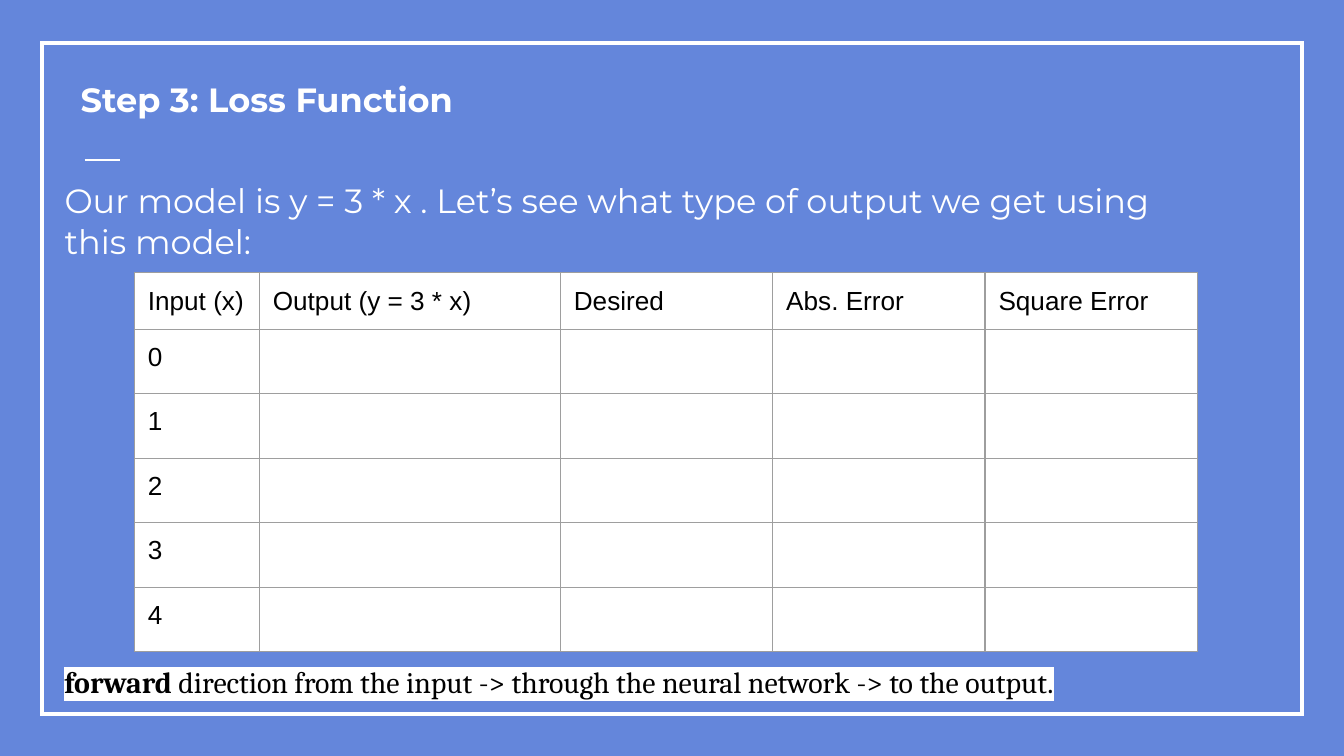
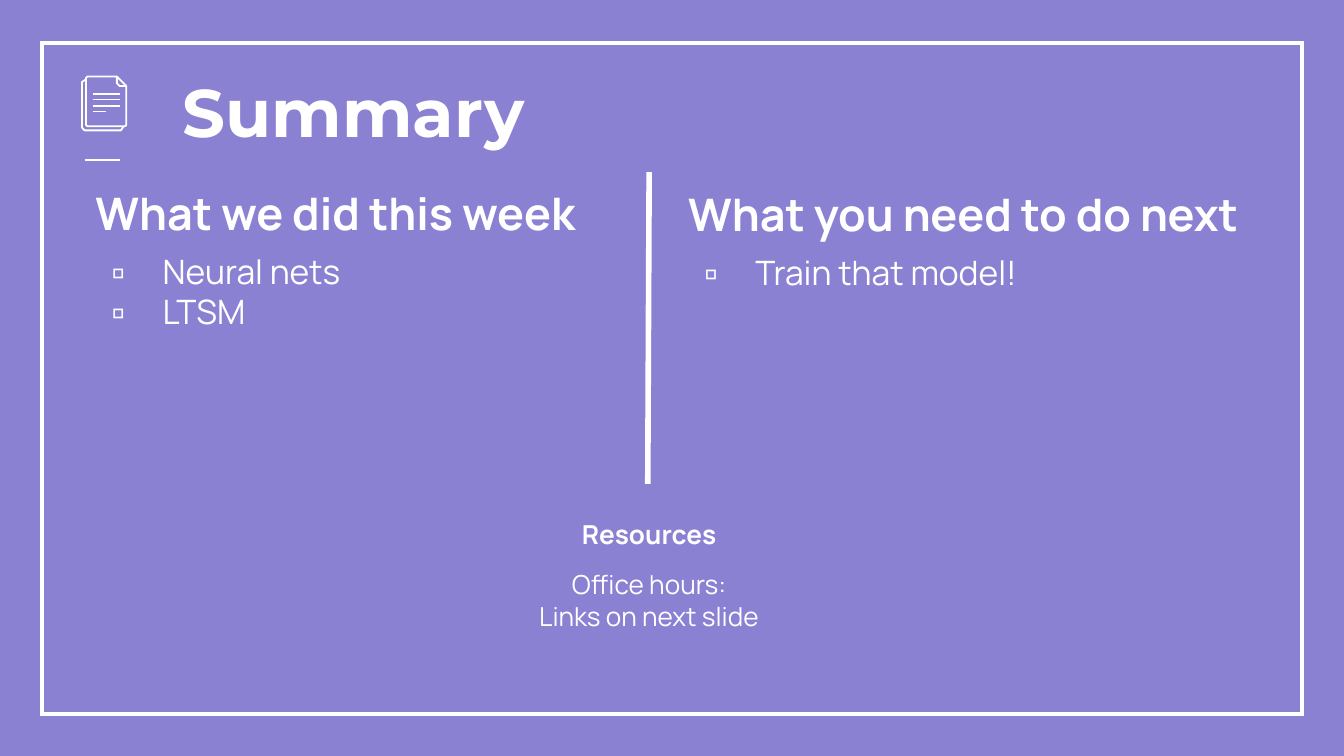
from lxml.etree import SubElement
from pptx import Presentation
from pptx.dml.color import RGBColor
from pptx.enum.shapes import MSO_CONNECTOR, MSO_SHAPE
from pptx.enum.text import MSO_ANCHOR, MSO_AUTO_SIZE, PP_ALIGN
from pptx.oxml.ns import qn
from pptx.util import Inches, Pt

# Content: slide 1
LOSS_TITLE = "Step 3: Loss Function"
MODEL_INTRO = ("Our model is y = 3 * x . Let’s see what type of output "
               "we get using this model:")
ERROR_COLUMNS = [("Input (x)", 0.93), ("Output (y = 3 * x)", 2.24),
                 ("Desired", 1.58), ("Abs. Error", 1.58), ("Square Error", 1.58)]
INPUTS = ["0", "1", "2", "3", "4"]
FORWARD_NOTE = [("forward", True),
                (" direction from the input -> through the neural network -> to the output.", False)]

# Content: slide 2
SUMMARY_TITLE = "Summary"
SUMMARY_LISTS = [
    ((0.61, 1.28, 3.9, 1.94), "What we did this week", ["Neural nets", "LTSM"]),
    ((5.02, 1.29, 4.5, 1.9), "What you need to do next", ["Train that model!"]),
]
RESOURCES = ["Resources", "Office hours:", "Links on next slide"]

# Document icon: open outlines, folded corner and text lines
BACK_PAGE = [(0.92, 0.94), (0.9, 0.97), (0.63, 0.97), (0.61, 0.95), (0.61, 0.61), (0.64, 0.59)]
FRONT_PAGE = [(0.94, 0.64), (0.94, 0.93), (0.93, 0.94), (0.65, 0.94), (0.64, 0.93),
              (0.64, 0.58), (0.65, 0.57), (0.87, 0.57)]
FOLD = [(0.87, 0.57), (0.94, 0.64), (0.89, 0.64), (0.87, 0.62), (0.87, 0.57)]
ICON_LINES = [(0.7, 0.89), (0.74, 0.89), (0.79, 0.89), (0.83, 0.79)]

# Shared look
BLUE, PURPLE = "6486DB", "8B81D2"
WHITE, BLACK, GRID = "FFFFFF", "000000", "9E9E9E"
TITLE_FONT, BODY_FONT = "Montserrat", "Manrope"


def rgb(color):
    return RGBColor.from_string(color)


def box(left, top, width, height):
    return [Inches(v) for v in (left, top, width, height)]


def style(run, font, size, color=WHITE, bold=False):
    run.font.name, run.font.size, run.font.bold = font, Pt(size), bold
    run.font.color.rgb = rgb(color)


def outline(shape, weight):
    shape.fill.background()
    shape.line.color.rgb = rgb(WHITE)
    shape.line.width = Pt(weight)
    shape.shadow.inherit = False


def add_line(shapes, x1, y1, x2, y2, weight):
    line = shapes.add_connector(MSO_CONNECTOR.STRAIGHT,
                                Inches(x1), Inches(y1), Inches(x2), Inches(y2))
    line.line.color.rgb = rgb(WHITE)
    line.line.width = Pt(weight)
    SubElement(line._element.spPr, qn("a:effectLst"))


def add_frame(slide):
    border = slide.shapes.add_shape(MSO_SHAPE.RECTANGLE, *box(0.31, 0.32, 9.38, 4.99))
    outline(border, 2.25)
    SubElement(border.line._get_or_add_ln(), qn("a:miter")).set("lim", "800000")


def prepare_frame(shape, place):
    shape.left, shape.top, shape.width, shape.height = box(*place)
    frame = shape.text_frame
    frame.word_wrap = True
    frame.auto_size = MSO_AUTO_SIZE.NONE
    frame.vertical_anchor = MSO_ANCHOR.TOP
    frame.margin_left = frame.margin_right = Inches(0.1)
    frame.margin_top = frame.margin_bottom = Inches(0.1)
    return frame


def set_bullet(paragraph, bulleted):
    props = paragraph._p.get_or_add_pPr()
    props.set("marL", str(Inches(0.5 if bulleted else 0)))
    props.set("indent", str(Inches(-0.38 if bulleted else 0)))
    if bulleted:
        SubElement(SubElement(props, qn("a:buClr")), qn("a:srgbClr")).set("val", WHITE)
        SubElement(props, qn("a:buFont")).set("typeface", BODY_FONT)
        SubElement(props, qn("a:buChar")).set("char", "▫")
    else:
        SubElement(props, qn("a:buNone"))


def fill_frame(frame, lines, font, align=PP_ALIGN.LEFT):
    """Each line is (text, size, bold, space before, bulleted)."""
    frame.text = "\n".join(line[0] for line in lines)
    for paragraph, (_, size, bold, before, bulleted) in zip(frame.paragraphs, lines):
        set_bullet(paragraph, bulleted)
        paragraph.alignment = align
        paragraph.space_before = Pt(before)
        style(paragraph.runs[0], font, size, bold=bold)


def start_slide(prs, layout, background, title, place, size):
    slide = prs.slides.add_slide(prs.slide_layouts.get_by_name(layout))
    slide.background.fill.solid()
    slide.background.fill.fore_color.rgb = rgb(background)
    # Frame and short rule under the title
    add_frame(slide)
    add_line(slide.shapes, 0.63, 1.19, 0.89, 1.19, 0.75)
    frame = prepare_frame(slide.shapes.title, place)
    fill_frame(frame, [(title, size, True, 0, False)], TITLE_FONT)
    return slide


def set_borders(cell):
    props = cell._tc.get_or_add_tcPr()
    for position, side in enumerate(("a:lnL", "a:lnR", "a:lnT", "a:lnB")):
        edge = props.makeelement(qn(side), {"w": str(Pt(0.75))})
        SubElement(SubElement(edge, qn("a:solidFill")), qn("a:srgbClr")).set("val", GRID)
        props.insert(position, edge)


def add_error_table(slide):
    header, widths = zip(*ERROR_COLUMNS)
    rows = [header] + [(value,) + ("",) * (len(header) - 1) for value in INPUTS]
    heights = [0.42] + [0.48] * len(INPUTS)
    table = slide.shapes.add_table(
        len(rows), len(header), *box(1, 2.03, sum(widths), sum(heights))).table
    table.first_row = table.horz_banding = False
    for column, width in zip(table.columns, widths):
        column.width = Inches(width)
    for r, (row, height) in enumerate(zip(rows, heights)):
        table.rows[r].height = Inches(height)
        for c, text in enumerate(row):
            cell = table.cell(r, c)
            cell.margin_left = cell.margin_right = Inches(0.1)
            cell.margin_top = cell.margin_bottom = Inches(0.1)
            cell.fill.solid()
            cell.fill.fore_color.rgb = rgb(WHITE)
            set_borders(cell)
            paragraph = cell.text_frame.paragraphs[0]
            if text:
                paragraph.text = text
                style(paragraph.runs[0], "Arial", 14, BLACK)
            else:
                paragraph._p.get_or_add_endParaRPr().set("sz", "1400")


def add_forward_note(slide):
    place = (0.38, 4.84, 8.72, 0.45)
    frame = prepare_frame(slide.shapes.add_textbox(*box(*place)), place)
    for text, bold in FORWARD_NOTE:
        run = frame.paragraphs[0].add_run()
        run.text = text
        style(run, "Cambria", 16, BLACK, bold)
        props = run._r.get_or_add_rPr()
        highlight = props.makeelement(qn("a:highlight"), {})
        SubElement(highlight, qn("a:srgbClr")).set("val", WHITE)
        props.find(qn("a:solidFill")).addnext(highlight)


def add_document_icon(slide):
    icon = slide.shapes.add_group_shape().shapes
    for points in (BACK_PAGE, FRONT_PAGE, FOLD):
        corners = [(Inches(x), Inches(y)) for x, y in points]
        builder = icon.build_freeform(*corners[0])
        builder.add_line_segments(corners[1:], close=points is FOLD)
        outline(builder.convert_to_shape(), 0.96)
    for y, right in ICON_LINES:
        add_line(icon, 0.69, y, right, y, 0.96)


def build_loss_slide(prs):
    slide = start_slide(prs, "Title and Content", BLUE, LOSS_TITLE, (0.5, 0.49, 8.36, 0.74), 18)
    intro = prepare_frame(slide.placeholders[1], (0.38, 1.24, 8.72, 0.79))
    fill_frame(intro, [(MODEL_INTRO, 18, False, 0, False)], TITLE_FONT)
    add_error_table(slide)
    add_forward_note(slide)


def build_summary_slide(prs):
    slide = start_slide(prs, "Comparison", PURPLE, SUMMARY_TITLE, (1.26, 0.42, 2.81, 0.89), 36)
    left, right, resources, spare = list(slide.placeholders)[1:]
    spare._element.getparent().remove(spare._element)

    # Two lists
    for body, (place, heading, items) in zip((left, right), SUMMARY_LISTS):
        lines = [(heading, 24, True, 0, False)]
        lines += [(item, 18, False, 0 if i else 6, True) for i, item in enumerate(items)]
        fill_frame(prepare_frame(body, place), lines, BODY_FONT)

    # Resources
    lines = [(text, 14, i == 0, 10 if i == 1 else 0, False) for i, text in enumerate(RESOURCES)]
    fill_frame(prepare_frame(resources, (0.57, 3.76, 8.52, 0.9)), lines, BODY_FONT,
               PP_ALIGN.CENTER)

    add_document_icon(slide)
    add_line(slide.shapes, 4.83, 1.28, 4.82, 3.6, 3)


def main():
    prs = Presentation()
    prs.slide_width = Inches(10)
    prs.slide_height = prs.slide_width * 9 // 16
    build_loss_slide(prs)
    build_summary_slide(prs)
    prs.save("out.pptx")


if __name__ == "__main__":
    main()
